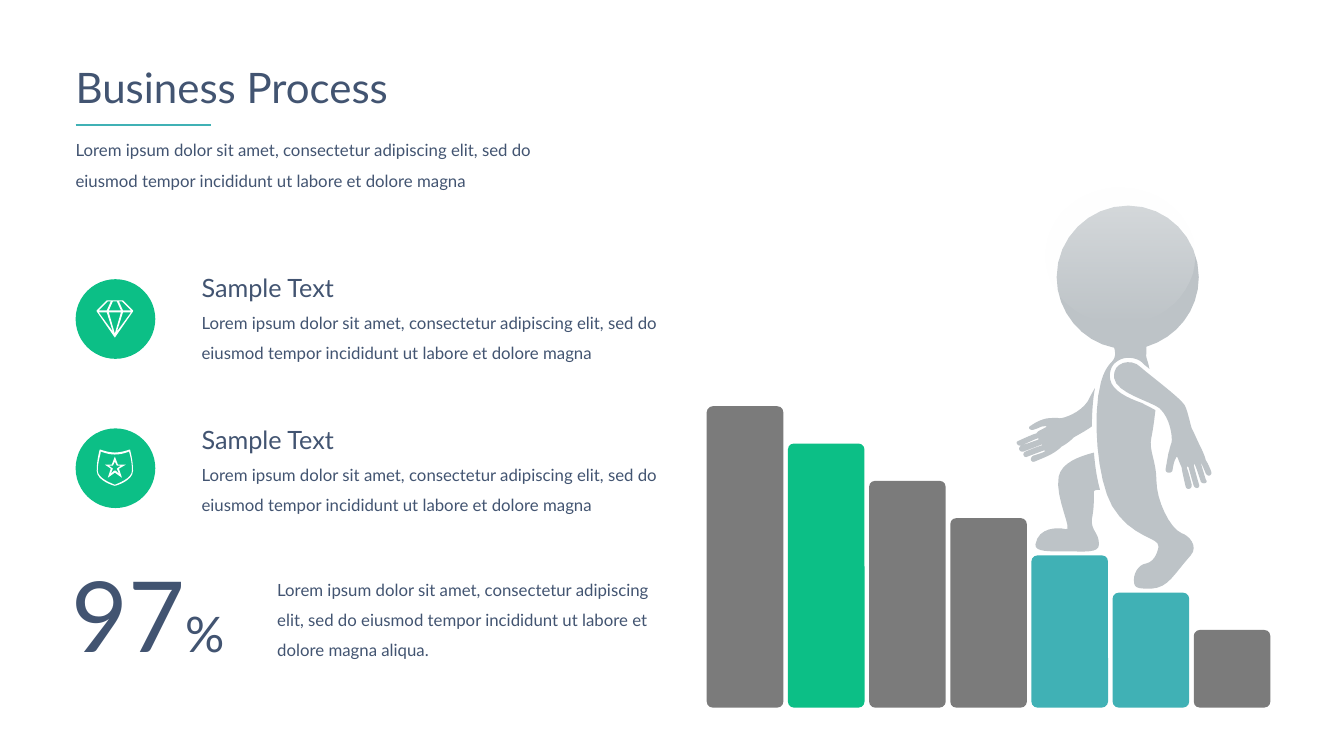
from dataclasses import dataclass

from lxml import etree
from pptx import Presentation
from pptx.dml.color import RGBColor
from pptx.enum.shapes import MSO_CONNECTOR, MSO_SHAPE
from pptx.enum.text import MSO_ANCHOR, MSO_AUTO_SIZE, PP_ALIGN
from pptx.oxml.ns import qn
from pptx.util import Inches, Pt

ELLIPSE, ROUNDED = MSO_SHAPE.OVAL, MSO_SHAPE.ROUNDED_RECTANGLE
STRAIGHT = MSO_CONNECTOR.STRAIGHT
TOP, MIDDLE = MSO_ANCHOR.TOP, MSO_ANCHOR.MIDDLE
LEFT = PP_ALIGN.LEFT
GROW, FIXED = MSO_AUTO_SIZE.SHAPE_TO_FIT_TEXT, MSO_AUTO_SIZE.NONE


@dataclass(frozen=True)
class Theme:
    font: str = "Lato"
    ink: str = "425471"
    green: str = "0CBF86"
    teal: str = "40B1B5"
    gray: str = "7B7B7B"
    silver: str = "BDC3C7"
    white: str = "FFFFFF"
    title: int = 30
    heading: int = 18
    body: int = 12
    figure: int = 70
    unit: int = 35


THEME = Theme()
LOREM = ("Lorem ipsum dolor sit amet, consectetur adipiscing elit, sed do "
         "eiusmod tempor incididunt ut labore et dolore magna")

# Outlines in slide inches: M starts a contour, L takes points, C takes cubic curves.
BACK_ARM = """M 10.29 4.35 C 10.28 4.35 10.13 4.42 10.13 4.42 10.09 4.43 10.06 4.38 10.11 4.37
10.11 4.37 10.26 4.3 10.28 4.3 10.3 4.27 10.3 4.28 10.37 4.24 10.38 4.24 10.39 4.22 10.35 4.23
10.32 4.23 10.3 4.25 10.26 4.26 10.22 4.28 10.18 4.24 10.23 4.22 10.27 4.19 10.33 4.16 10.39 4.15
10.42 4.15 10.46 4.14 10.51 4.15 10.55 4.15 10.71 4.1 10.79 3.98 10.81 3.94 10.83 3.9 10.86 3.85
10.84 3.96 10.83 4.09 10.83 4.23 10.76 4.28 10.68 4.32 10.65 4.34 10.62 4.37 10.57 4.41 10.53 4.43"""
BACK_FINGERS = """
10.49 4.47 10.44 4.5 10.4 4.52 10.38 4.53 10.26 4.58 10.26 4.58 10.22 4.59 10.21 4.54 10.25 4.52
10.25 4.52 10.35 4.49 10.36 4.48 10.37 4.47 10.37 4.47 10.35 4.47 10.35 4.47 10.19 4.53 10.19 4.53
10.16 4.55 10.13 4.5 10.17 4.48 10.17 4.48 10.32 4.42 10.33 4.42 10.34 4.42 10.33 4.4 10.33 4.41
10.31 4.42 10.15 4.48 10.15 4.48 10.11 4.49 10.09 4.44 10.13 4.42 10.13 4.42 10.28 4.37 10.3 4.36
10.3 4.35 10.3 4.34 10.29 4.35"""
HEAD_AND_NECK = """M 10.48 2.75 C 10.48 2.36 10.8 2.04 11.19 2.04 11.58 2.04 11.89 2.36 11.89 2.75
11.89 3.08 11.67 3.35 11.37 3.44 11.37 3.46 11.37 3.48 11.37 3.51 11.36 3.54 11.39 3.59 11.4 3.66
11.38 3.64 11.36 3.63 11.34 3.61 11.31 3.57 11.25 3.55 11.19 3.55 11.14 3.55 11.09 3.57 11.05 3.61
11.03 3.63 11 3.68 11.01 3.76 11.03 3.88 11.19 3.95 11.33 4 11.38 4.03 11.43 4.05 11.46 4.07"""
TRUNK_AND_LEG = """
11.45 4.15 11.44 4.24 11.42 4.34 11.39 4.47 11.47 4.57 11.47 4.77 11.47 4.96 11.6 5.24 11.72 5.29
11.79 5.31 11.89 5.42 11.81 5.51 11.64 5.7 11.59 5.83 11.42 5.84 11.31 5.84 11.26 5.84 11.25 5.79
11.23 5.7 11.29 5.6 11.37 5.59 11.46 5.57 11.49 5.45 11.49 5.42 11.5 5.33 11.22 5.34 11.03 5.02
10.88 4.76 10.83 4.11 10.92 3.79 10.98 3.58 11.05 3.61 11.06 3.52 11.06 3.5 11.06 3.48 11.05 3.45
10.73 3.39 10.48 3.09 10.48 2.75"""
FRONT_ARM = """M 11.76 4.83 C 11.76 4.83 11.72 4.66 11.72 4.64 11.71 4.61 11.71 4.62 11.68 4.54
11.68 4.54 11.67 4.52 11.66 4.55 11.64 4.58 11.63 4.66 11.63 4.66 11.63 4.7 11.56 4.7 11.56 4.66
11.56 4.66 11.58 4.54 11.59 4.49 11.6 4.47 11.6 4.44 11.62 4.39 11.63 4.34 11.61 4.15 11.5 4.05
11.41 3.98 11.07 3.9 11.05 3.75 11.03 3.59 11.22 3.55 11.31 3.64 11.41 3.73 11.7 3.94 11.75 4.02
11.79 4.1 11.81 4.25 11.83 4.27 11.85 4.31 11.88 4.38 11.9 4.42 11.92 4.46 11.95 4.52 11.96 4.57"""
FRONT_FINGERS = """
11.97 4.57 12.01 4.67 12.01 4.67 12.03 4.71 11.99 4.74 11.96 4.7 11.96 4.7 11.92 4.6 11.91 4.59
11.91 4.58 11.9 4.59 11.91 4.59 11.91 4.6 11.96 4.76 11.96 4.76 11.99 4.79 11.93 4.81 11.91 4.78
11.91 4.78 11.86 4.62 11.85 4.61 11.85 4.6 11.84 4.61 11.84 4.61 11.84 4.63 11.89 4.8 11.89 4.8
11.91 4.84 11.86 4.86 11.84 4.82 11.84 4.82 11.79 4.65 11.79 4.64 11.78 4.62 11.77 4.63 11.77 4.64
11.78 4.65 11.82 4.81 11.82 4.81 11.82 4.86 11.77 4.86 11.76 4.83"""
BACK_LEG = """M 10.27 5.4 C 10.3 5.23 10.49 5.23 10.57 5.25 10.65 5.28 10.46 4.93 10.5 4.73
10.53 4.59 10.7 4.53 10.85 4.49 10.86 4.62 10.88 4.75 10.91 4.86 10.88 4.86 10.85 4.86 10.85 4.88
10.85 4.98 10.85 5.04 10.83 5.15 10.82 5.27 10.9 5.28 10.9 5.4 10.9 5.49 10.76 5.47 10.58 5.47
10.42 5.47 10.26 5.48 10.27 5.4"""
CLIMBER = [(BACK_ARM, BACK_FINGERS), (HEAD_AND_NECK, TRUNK_AND_LEG),
           (FRONT_ARM, FRONT_FINGERS), (BACK_LEG,)]
SHIELD = """M 0.99 4.46 C 0.99 4.46 0.96 4.56 0.96 4.67 0.96 4.77 1.13 4.82 1.14 4.82
1.15 4.82 1.32 4.77 1.32 4.67 1.32 4.56 1.29 4.46 1.29 4.46 1.28 4.46 1.21 4.49 1.14 4.49
1.07 4.49 1 4.46 0.99 4.46
M 1.14 4.81 C 1.12 4.8 0.97 4.75 0.97 4.67 0.97 4.58 1 4.51 1 4.48 1.03 4.49 1.08 4.51 1.14 4.51
1.2 4.51 1.26 4.49 1.28 4.48 1.29 4.51 1.31 4.58 1.31 4.67 1.31 4.75 1.16 4.8 1.14 4.81"""
STAR = """
M 1.17 4.61 L 1.14 4.53 1.11 4.61 1.04 4.61 1.1 4.65 1.07 4.74 1.14 4.69 1.21 4.74 1.18 4.65 1.25 4.61
M 1.16 4.65 L 1.18 4.7 1.15 4.67 1.13 4.67 1.1 4.7 1.12 4.65 1.08 4.62 1.12 4.62 1.14 4.58
1.16 4.62 1.2 4.62"""
DIAMOND = """M 0.96 3.09 L 1.14 3.35 1.32 3.09 1.32 3.08 1.22 2.98 1.06 2.98 0.96 3.08
M 1.16 3.29 L 1.22 3.1 1.3 3.1 M 1.14 3.31 L 1.08 3.1 1.2 3.1 M 0.98 3.1 L 1.06 3.1 1.12 3.29
M 1.07 2.99 L 1.1 2.99 1.06 3.08 0.98 3.08 M 1.16 2.99 L 1.2 3.08 1.08 3.08 1.12 2.99
M 1.21 2.99 L 1.3 3.08 1.22 3.08 1.18 2.99"""


def rgb(color):
    return RGBColor.from_string(color)


def paint(sp, color):
    """Give a shape a plain fill without line or shadow."""
    sp.shadow.inherit = False
    sp.fill.solid()
    sp.fill.fore_color.rgb = rgb(color)
    sp.line.fill.background()
    return sp


def add_preset(slide, preset, x, y, w, h, color):
    return paint(slide.shapes.add_shape(preset, Inches(x), Inches(y), Inches(w), Inches(h)), color)


def contour_points(contour, steps=8):
    """Turn one contour into points, with each cubic curve cut into steps."""
    start, rest = contour.split("C" if "C" in contour else "L")
    numbers = [float(n) for n in rest.split()]
    pairs = list(zip(numbers[::2], numbers[1::2]))
    points = [tuple(float(n) for n in start.split())]
    if "L" in contour:
        return points + pairs
    for i in range(0, len(pairs), 3):
        curve = [points[-1], *pairs[i:i + 3]]
        for step in range(1, steps + 1):
            t = step / steps
            weights = ((1 - t) ** 3, 3 * t * (1 - t) ** 2, 3 * t * t * (1 - t), t ** 3)
            points.append(tuple(sum(k * pt[axis] for k, pt in zip(weights, curve))
                                for axis in (0, 1)))
    return points


def add_outline(slide, pieces, color):
    builder = None
    for contour in "".join(pieces).split("M")[1:]:
        start, *others = [(Inches(x), Inches(y)) for x, y in contour_points(contour)]
        if builder is None:
            builder = slide.shapes.build_freeform(*start)
        else:
            builder.move_to(*start)
        builder.add_line_segments(others, close=True)
    return paint(builder.convert_to_shape(), color)


def add_text(slide, x, y, w, h, runs, spacing=1.0, inset=(0, 0), anchor=TOP, fit=GROW):
    """Add one paragraph made of (text, size) runs."""
    tf = slide.shapes.add_textbox(Inches(x), Inches(y), Inches(w), Inches(h)).text_frame
    side, edge = (Inches(n) for n in inset)
    frame = dict(word_wrap=True, auto_size=fit, vertical_anchor=anchor, margin_left=side,
                 margin_right=side, margin_top=edge, margin_bottom=edge)
    for name, value in frame.items():
        setattr(tf, name, value)
    p = tf.paragraphs[0]
    p.alignment, p.line_spacing = LEFT, spacing
    for text, size in runs:
        r = p.add_run()
        r.text = text
        for name, value in dict(name=THEME.font, size=Pt(size)).items():
            setattr(r.font, name, value)
        r.font.color.rgb = rgb(THEME.ink)


def add_body(slide, x, y, w, h, text=LOREM):
    add_text(slide, x, y, w, h, [(text, THEME.body)], spacing=1.5)


def add_rule(slide, x1, x2, y):
    line = slide.shapes.add_connector(STRAIGHT, Inches(x1), Inches(y), Inches(x2), Inches(y))
    line.line.color.rgb = rgb(THEME.teal)
    line.line.width = Pt(2)
    etree.SubElement(line._element.spPr, qn("a:effectLst"))


def add_stairs(slide):
    colors = [THEME.gray, THEME.green, THEME.gray, THEME.gray, THEME.teal, THEME.teal, THEME.gray]
    width, pitch, floor, radius = 0.76, 0.805, 7.02, 0.06
    for i, color in enumerate(colors):
        top = 4.03 + 0.37 * i
        bar = add_preset(slide, ROUNDED, 7.01 + pitch * i, top, width, floor - top, color)
        bar.adjustments[0] = radius / min(width, floor - top)


def add_head_highlight(slide):
    """Lay a white sheen over the head that fades downwards."""
    sp = add_preset(slide, ELLIPSE, 10.37, 1.86, 1.48, 1.35, THEME.white)
    sp.fill.gradient()
    sp.fill.gradient_angle = 270
    for stop, position, opacity in zip(sp.fill.gradient_stops, (0, 1), (42, 0)):
        stop.position = position
        stop.color.rgb = rgb(THEME.white)
        color = stop._gs.find(qn("a:srgbClr"))
        etree.SubElement(color, qn("a:alpha"), val=str(opacity * 1000))


def add_feature(slide, badge_top, text_top, icon):
    add_preset(slide, ELLIPSE, 0.75, badge_top, 0.79, 0.79, THEME.green)
    add_outline(slide, icon, THEME.white)
    add_text(slide, 2, text_top, 2.63, 0.3, [("Sample Text", THEME.heading)])
    add_body(slide, 2, text_top + 0.3, 5.13, 0.61)


def main():
    prs = Presentation()
    prs.slide_width, prs.slide_height = Inches(13.33), Inches(7.5)
    slide = prs.slides.add_slide(prs.slide_layouts[6])
    add_stairs(slide)
    for pieces in CLIMBER:
        add_outline(slide, pieces, THEME.silver)
    add_head_highlight(slide)
    add_text(slide, 0.61, 5.44, 1.75, 1.28, [("97", THEME.figure), ("%", THEME.unit)],
             inset=(0.1, 0.05), anchor=MIDDLE)
    add_body(slide, 2.75, 5.65, 3.77, 0.87, LOREM + " aliqua.")
    add_feature(slide, 2.77, 2.7, (DIAMOND,))
    add_feature(slide, 4.25, 4.21, (SHIELD, STAR))
    add_text(slide, 0.75, 0.67, 4.03, 0.62, [("Business Process", THEME.title)],
             spacing=0.9, fit=FIXED)
    add_rule(slide, 0.75, 2.09, 1.24)
    add_body(slide, 0.75, 1.29, 5.12, 0.57)
    prs.save("out.pptx")


if __name__ == "__main__":
    main()
